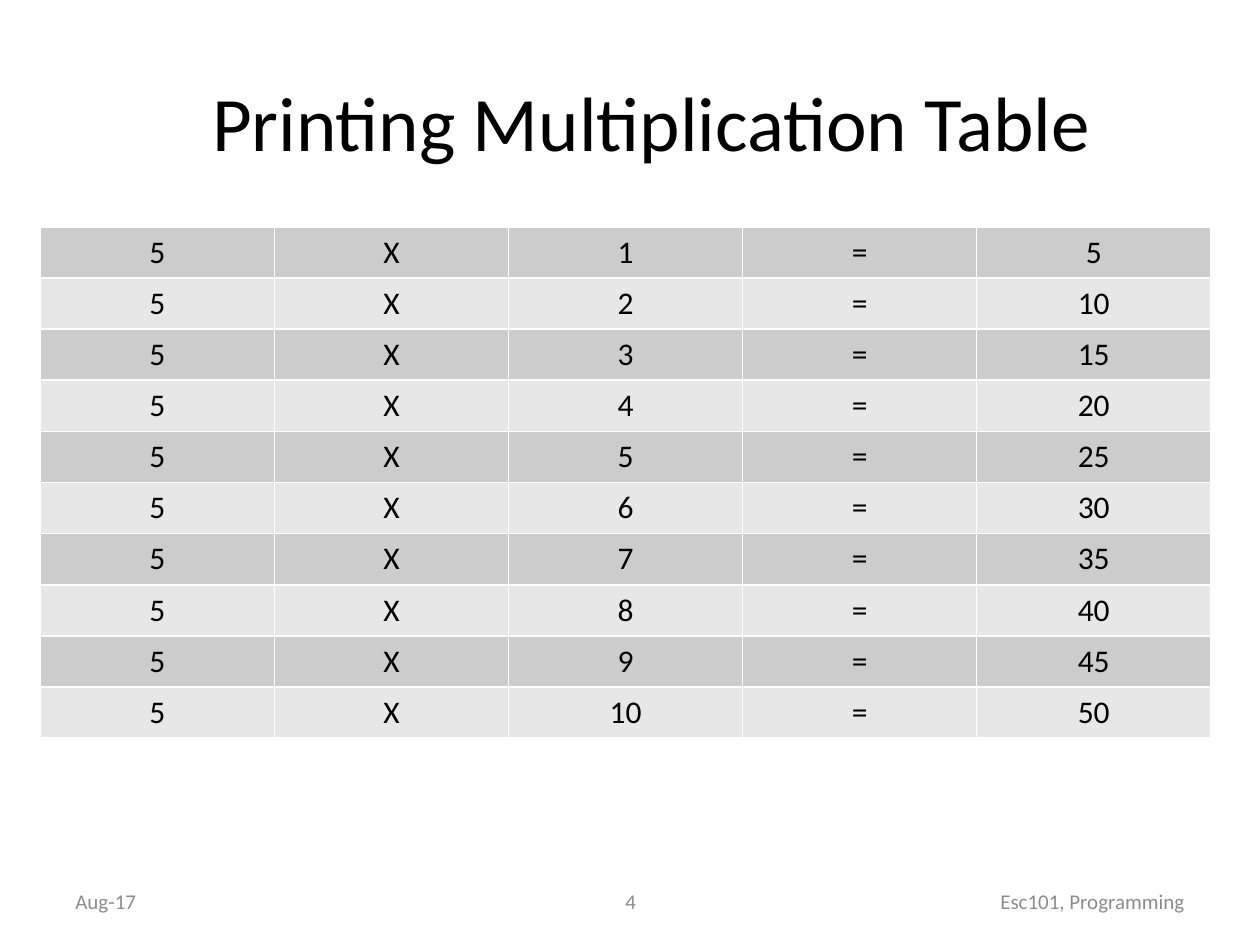
from pptx import Presentation
from pptx.dml.color import RGBColor
from pptx.enum.text import MSO_ANCHOR, PP_ALIGN
from pptx.util import Inches, Pt

COLORS = {"text": "000000", "footer": "8C8C8C", "odd": "CCCCCC", "even": "E7E7E7"}
FORMATS = {
    "title": {"name": "Calibri", "size": Pt(44)},
    "cell": {"name": "Calibri", "size": Pt(18)},
    "footer": {"name": "Calibri", "size": Pt(12)},
}
FOOTERS = [
    ("Aug-17", 0.5, 2.33, PP_ALIGN.LEFT),
    ("4", 3.42, 3.17, PP_ALIGN.CENTER),
    ("Esc101, Programming", 7.17, 2.33, PP_ALIGN.RIGHT),
]


def set_text(tf, text, style, color="text", align=PP_ALIGN.CENTER):
    """Write one formatted paragraph into a text frame."""
    p = tf.paragraphs[0]
    p.alignment = align
    r = p.add_run()
    r.text = text
    for attr, value in FORMATS[style].items():
        setattr(r.font, attr, value)
    r.font.color.rgb = RGBColor.from_string(COLORS[color])


def add_title(s, text):
    """Place and fill the title placeholder."""
    sp = s.shapes.title
    sp.left, sp.top, sp.width, sp.height = map(Inches, (0.67, 0.33, 9, 1.25))
    sp.text_frame.vertical_anchor = MSO_ANCHOR.MIDDLE
    set_text(sp.text_frame, text, "title")


def add_times_table(s, number, count):
    """Add a banded table with the first multiples of a number."""
    rows = [(number, "X", i, "=", number * i) for i in range(1, count + 1)]
    box = map(Inches, (0.32, 1.8, 9.29, 4.06))
    table = s.shapes.add_table(count, len(rows[0]), *box).table
    table.first_row = False
    for i, values in enumerate(rows):
        fill = COLORS["even" if i % 2 else "odd"]
        for cell, value in zip(table.rows[i].cells, values):
            cell.fill.solid()
            cell.fill.fore_color.rgb = RGBColor.from_string(fill)
            set_text(cell.text_frame, str(value), "cell")


def add_footer(s, text, left, width, align):
    """Add one grey text box on the footer line."""
    sp = s.shapes.add_textbox(*map(Inches, (left, 6.95, width, 0.4)))
    tf = sp.text_frame
    tf.word_wrap = True
    tf.vertical_anchor = MSO_ANCHOR.MIDDLE
    set_text(tf, text, "footer", "footer", align)


def main():
    """Build the slide and save it."""
    prs = Presentation()
    prs.slide_width, prs.slide_height = Inches(10), Inches(7.5)
    s = prs.slides.add_slide(prs.slide_layouts[5])
    add_title(s, "Printing Multiplication Table")
    add_times_table(s, 5, 10)
    for footer in FOOTERS:
        add_footer(s, *footer)
    prs.save("out.pptx")


if __name__ == "__main__":
    main()
